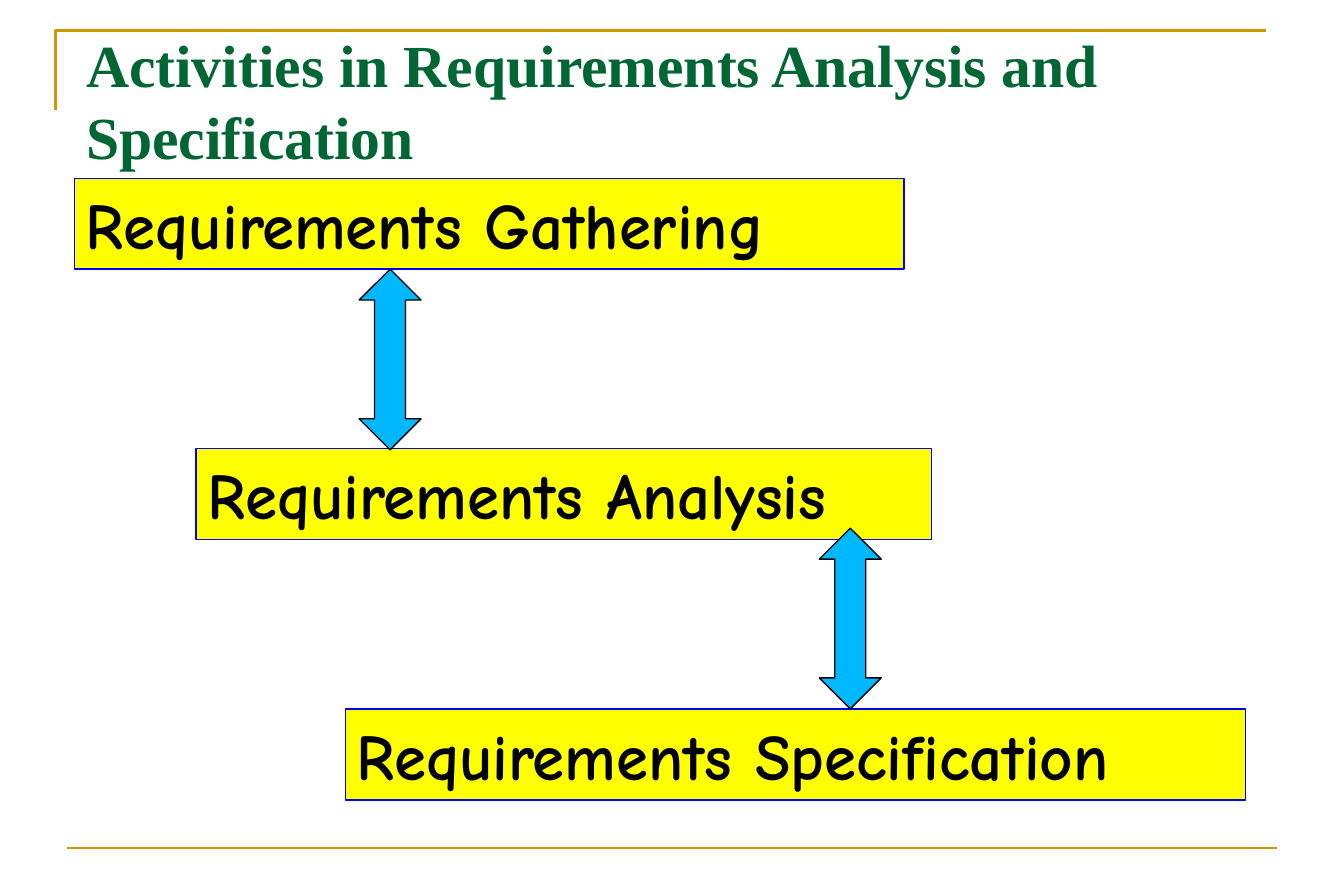
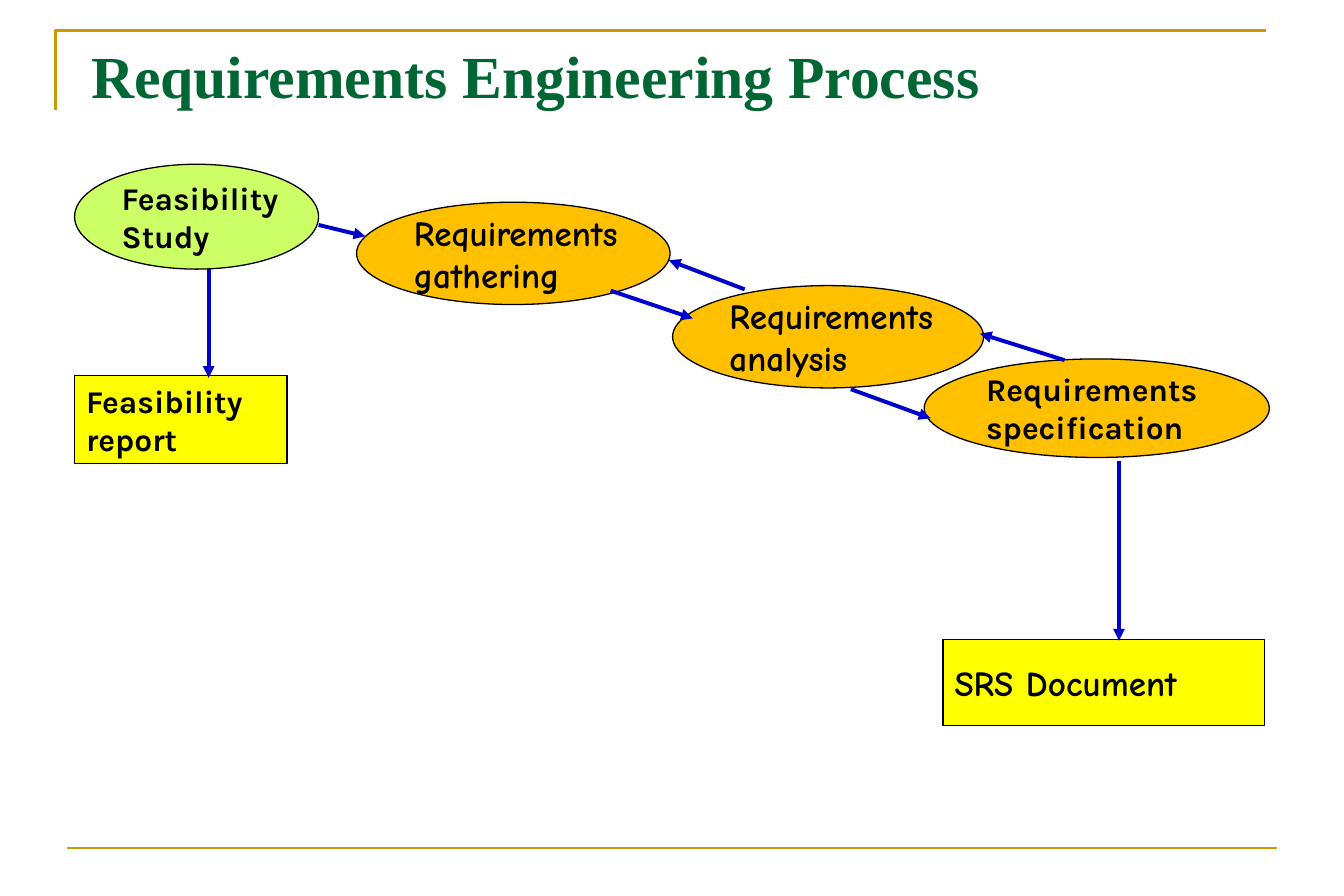
from pptx import Presentation
from pptx.dml.color import RGBColor
from pptx.enum.shapes import MSO_CONNECTOR, MSO_SHAPE
from pptx.enum.text import MSO_ANCHOR, MSO_AUTO_SIZE, PP_ALIGN
from pptx.oxml.ns import qn
from pptx.util import Pt
from lxml import etree

PX = 9144  # EMU per px, 100 px to the inch
WIDE, HIGH = 1063, 709

GOLD = RGBColor(0xCC, 0x99, 0x00)
GREEN = RGBColor(0x00, 0x66, 0x33)
LIME = RGBColor(0xCC, 0xFF, 0x66)
AMBER = RGBColor(0xFF, 0xC0, 0x00)
YELLOW = RGBColor(0xFF, 0xFF, 0x00)
SKY = RGBColor(0x00, 0xB8, 0xFF)
BLUE = RGBColor(0x00, 0x00, 0xFF)
NAVY = RGBColor(0x00, 0x00, 0xCC)
BLACK = RGBColor(0x00, 0x00, 0x00)

SERIF, COMIC, KARLA = "Times New Roman", "Comic Neue", "Karla"

RECT, OVAL, ARROW = MSO_SHAPE.RECTANGLE, MSO_SHAPE.OVAL, MSO_SHAPE.UP_DOWN_ARROW
LINE = MSO_CONNECTOR.STRAIGHT
TOP, MIDDLE = MSO_ANCHOR.TOP, MSO_ANCHOR.MIDDLE
LEFT, FIXED = PP_ALIGN.LEFT, MSO_AUTO_SIZE.NONE


def emu(*sizes):
    return [size * PX for size in sizes]


def write(shape, text, font, size, color=BLACK, anchor=MIDDLE, wrap=False):
    """Put bold, left-aligned text in a shape, one paragraph a line."""
    frame = shape.text_frame
    frame.text = text
    frame.word_wrap = wrap
    frame.auto_size = FIXED
    frame.vertical_anchor = anchor
    frame.margin_left = frame.margin_right = 9 * PX
    frame.margin_top = frame.margin_bottom = 5 * PX
    for para in frame.paragraphs:
        para.alignment = LEFT
        for run in para.runs:
            run.font.name, run.font.size = font, Pt(size)
            run.font.bold = True
            run.font.color.rgb = color


def shape(slide, kind, place, fill, edge=BLACK):
    item = slide.shapes.add_shape(kind, *emu(*place))
    item.shadow.inherit = False
    item.fill.solid()
    item.fill.fore_color.rgb = fill
    item.line.color.rgb = edge
    item.line.width = Pt(0.75)
    return item


def line(slide, ends, color, width, head=False):
    item = slide.shapes.add_connector(LINE, *emu(*ends))
    item.line.color.rgb = color
    item.line.width = Pt(width)
    if head:
        etree.SubElement(item.line._get_or_add_ln(), qn("a:tailEnd"), type="triangle")
    etree.SubElement(item.element.spPr, qn("a:effectLst"))
    return item


def title(slide, text, place, anchor):
    item = slide.shapes.title
    item.left, item.top, item.width, item.height = emu(*place)
    write(item, text, SERIF, 34, GREEN, anchor, wrap=True)


def frame(slide, layout):
    """Draw the gold corner and foot line, then move them to the layout."""
    pen = slide.shapes.build_freeform(44, 87, scale=PX)
    pen.add_line_segments([(44, 24), (1001, 24)], close=False)
    edge = pen.convert_to_shape()
    edge.shadow.inherit = False
    edge.fill.background()
    edge.line.color.rgb = GOLD
    edge.line.width = Pt(1.5)
    foot = line(slide, (53, 671, 1010, 671), GOLD, 1.5)
    for item in (edge, foot):
        layout.shapes.element.append(item.element)


def steps(slide):
    title(slide, "Activities in Requirements Analysis and Specification",
          (59, 17, 984, 118), TOP)
    for text, left, top, width in (
        ("Requirements Gathering", 59, 141, 656),
        ("Requirements Analysis", 155, 355, 582),
        ("Requirements Specification", 273, 561, 712),
    ):
        box = shape(slide, RECT, (left, top, width, 72), YELLOW, BLUE)
        write(box, text, COMIC, 37, anchor=TOP, wrap=True)
    for left, top in ((284, 213), (648, 418)):
        shape(slide, ARROW, (left, top, 49, 143), SKY)


def process(slide):
    title(slide, "Requirements Engineering Process", (63, 31, 822, 56), MIDDLE)
    # Activities and the documents they yield
    for text, kind, place, fill, font, size in (
        ("Feasibility\nStudy", OVAL, (59, 130, 193, 83), LIME, KARLA, 18),
        ("Requirements\ngathering", OVAL, (282, 160, 248, 81), AMBER, COMIC, 20),
        ("Requirements\nanalysis", OVAL, (532, 226, 246, 81), AMBER, COMIC, 20),
        ("Requirements\nspecification", OVAL, (731, 284, 273, 78), AMBER, KARLA, 18),
        ("Feasibility\nreport", RECT, (59, 297, 168, 70), YELLOW, KARLA, 18),
        ("SRS Document", RECT, (746, 506, 254, 68), YELLOW, COMIC, 20),
    ):
        write(shape(slide, kind, place, fill), text, font, size)
    # Flow between them
    for ends in (
        (252, 178, 289, 187),
        (483, 230, 548, 252),
        (589, 229, 529, 206),
        (673, 308, 736, 331),
        (842, 285, 775, 264),
        (165, 213, 165, 299),
        (885, 365, 885, 507),
    ):
        line(slide, ends, NAVY, 2.25, head=True)


def main():
    deck = Presentation()
    deck.slide_width, deck.slide_height = emu(WIDE, HIGH)
    layout = deck.slide_layouts[5]
    first, second = [deck.slides.add_slide(layout) for _ in range(2)]
    frame(first, layout)
    steps(first)
    process(second)
    deck.save("out.pptx")


if __name__ == "__main__":
    main()
